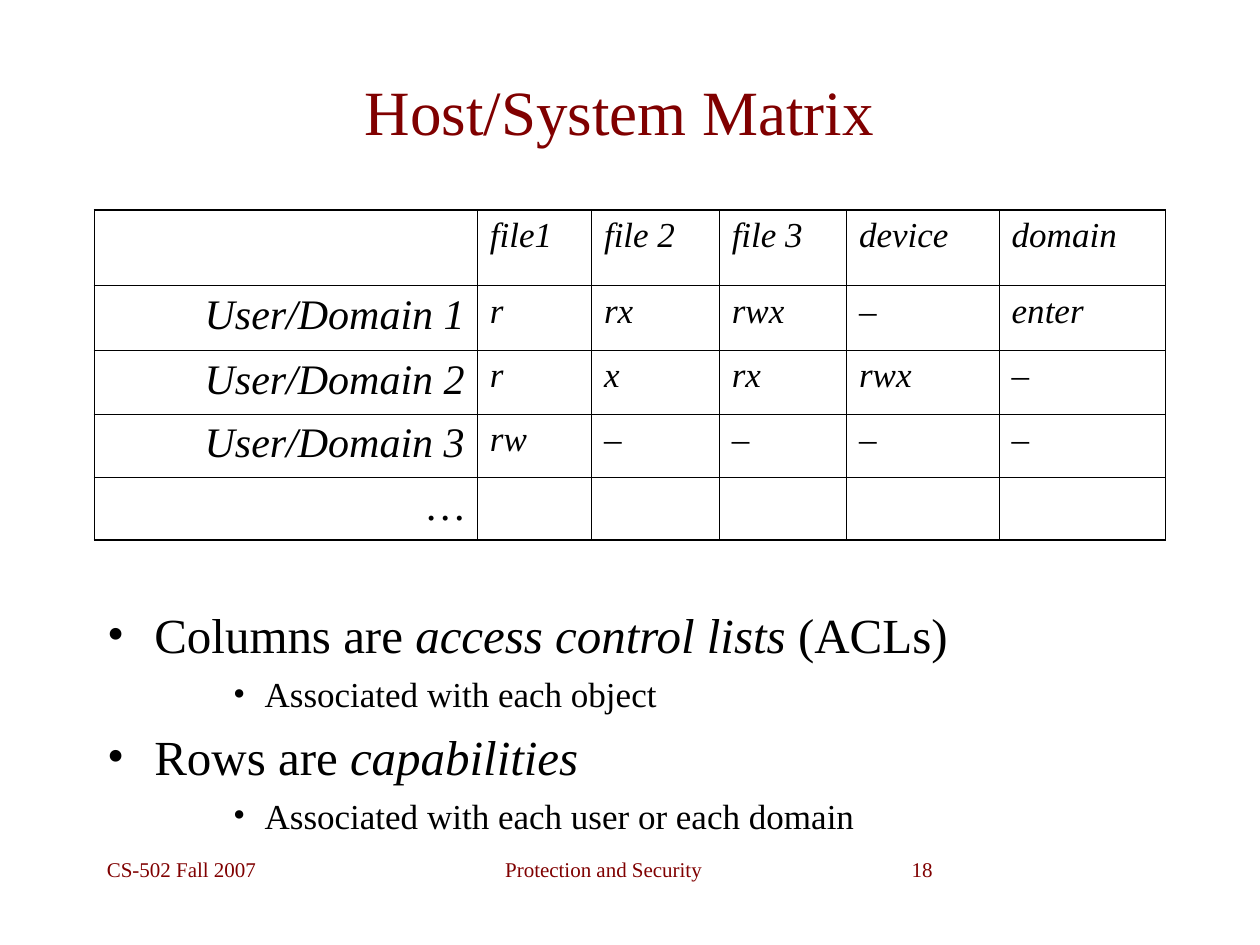
from lxml import etree
from pptx import Presentation
from pptx.dml.color import RGBColor
from pptx.enum import text
from pptx.oxml import ns
from pptx.util import Pt

INK = {"red": "800000", "black": "000000"}
FACE = "Times New Roman"
LEFT, RIGHT, MID = text.PP_ALIGN.LEFT, text.PP_ALIGN.RIGHT, text.PP_ALIGN.CENTER


def style(para, size, ink, align=LEFT, space=0, slant=False):
    """Format a paragraph and all its runs."""
    para.alignment = align
    para.space_before = Pt(space)
    for run in para.runs:
        run.font.name = FACE
        run.font.size = Pt(size)
        run.font.italic = slant
        run.font.color.rgb = RGBColor.from_string(INK[ink])


def place(shape, left, top, width, height):
    shape.left, shape.top = Pt(left), Pt(top)
    shape.width, shape.height = Pt(width), Pt(height)


deck = Presentation()
deck.slide_width, deck.slide_height = Pt(720), Pt(540)
slide = deck.slides.add_slide(deck.slide_layouts[1])

# Title
title = slide.shapes.title
place(title, 48, 24, 612, 78)
title.text_frame.text = "Host/System Matrix"
title.text_frame.auto_size = text.MSO_AUTO_SIZE.NONE
title.text_frame.vertical_anchor = text.MSO_ANCHOR.MIDDLE
style(title.text_frame.paragraphs[0], 36, "red", MID)

# Access matrix
rows = [
    ["", "file1", "file 2", "file 3", "device", "domain"],
    ["User/Domain 1", "r", "rx", "rwx", "–", "enter"],
    ["User/Domain 2", "r", "x", "rx", "rwx", "–"],
    ["User/Domain 3", "rw", "–", "–", "–", "–"],
    ["…", "", "", "", "", ""],
]
widths = [218.75, 65.25, 73, 72.75, 87.25, 95]
heights = [43.25, 37, 36.5, 36, 36]
frame = slide.shapes.add_table(len(rows), len(widths), Pt(54), Pt(120),
                               Pt(sum(widths)), Pt(sum(heights)))
grid = frame.table
grid.first_row = grid.horz_banding = False
for col, width in zip(grid.columns, widths):
    col.width = Pt(width)
for row, height in zip(grid.rows, heights):
    row.height = Pt(height)

for r, row in enumerate(rows):
    for c, word in enumerate(row):
        cell = grid.cell(r, c)
        cell.fill.background()
        para = cell.text_frame.paragraphs[0]
        if word:
            para.text = word
            if c == 0:
                style(para, 24, "black", RIGHT, 6, True)
            else:
                style(para, 20, "black", LEFT, 5, True)
        # Thick lines around the table, thin ones inside
        outer = {"lnL": c == 0, "lnR": c == len(widths) - 1,
                 "lnT": r == 0, "lnB": r == len(rows) - 1}
        props = cell._tc.get_or_add_tcPr()
        for i, (side, thick) in enumerate(outer.items()):
            line = etree.Element(ns.qn("a:" + side), w=str(Pt(1.08 if thick else 0.45)))
            fill = etree.SubElement(line, ns.qn("a:solidFill"))
            etree.SubElement(fill, ns.qn("a:srgbClr"), val=INK["black"])
            props.insert(i, line)

# Bullet list: level, runs as (text, italic)
points = [
    (0, [("Columns are ", False), ("access control lists ", True), ("(ACLs)", False)]),
    (2, [("Associated with each object", False)]),
    (0, [("Rows are ", False), ("capabilities", True)]),
    (2, [("Associated with each user or each domain", False)]),
]
looks = {0: (28, 7, 27, 27), 2: (20, 5, 90, 18)}  # size, space, margin, hang
body = slide.placeholders[1]
place(body, 54, 342, 612, 144)
body.text_frame.auto_size = text.MSO_AUTO_SIZE.NONE
for i, (level, parts) in enumerate(points):
    para = body.text_frame.paragraphs[0] if i == 0 else body.text_frame.add_paragraph()
    para.level = level
    size, space, margin, hang = looks[level]
    for word, slant in parts:
        para.add_run().text = word
    style(para, size, "black", LEFT, space)
    for run, (word, slant) in zip(para.runs, parts):
        run.font.italic = slant
    props = para._p.get_or_add_pPr()
    props.set("marL", str(Pt(margin)))
    props.set("indent", str(Pt(-hang)))
    tint = etree.SubElement(props, ns.qn("a:buClr"))
    etree.SubElement(tint, ns.qn("a:srgbClr"), val=INK["black"])
    etree.SubElement(props, ns.qn("a:buFont"), typeface=FACE)
    etree.SubElement(props, ns.qn("a:buChar"), char="•")

# Footer
for word, left, width, height, align in [
    ("Protection and Security", 276, 138, 36, MID),
    ("18", 480, 60, 30, RIGHT),
    ("CS-502 Fall 2007", 54, 144, 37.5, LEFT),
]:
    box = slide.shapes.add_textbox(Pt(left), Pt(486), Pt(width), Pt(height))
    box.text_frame.word_wrap = True
    box.text_frame.text = word
    style(box.text_frame.paragraphs[0], 12, "red", align)

deck.save("out.pptx")
